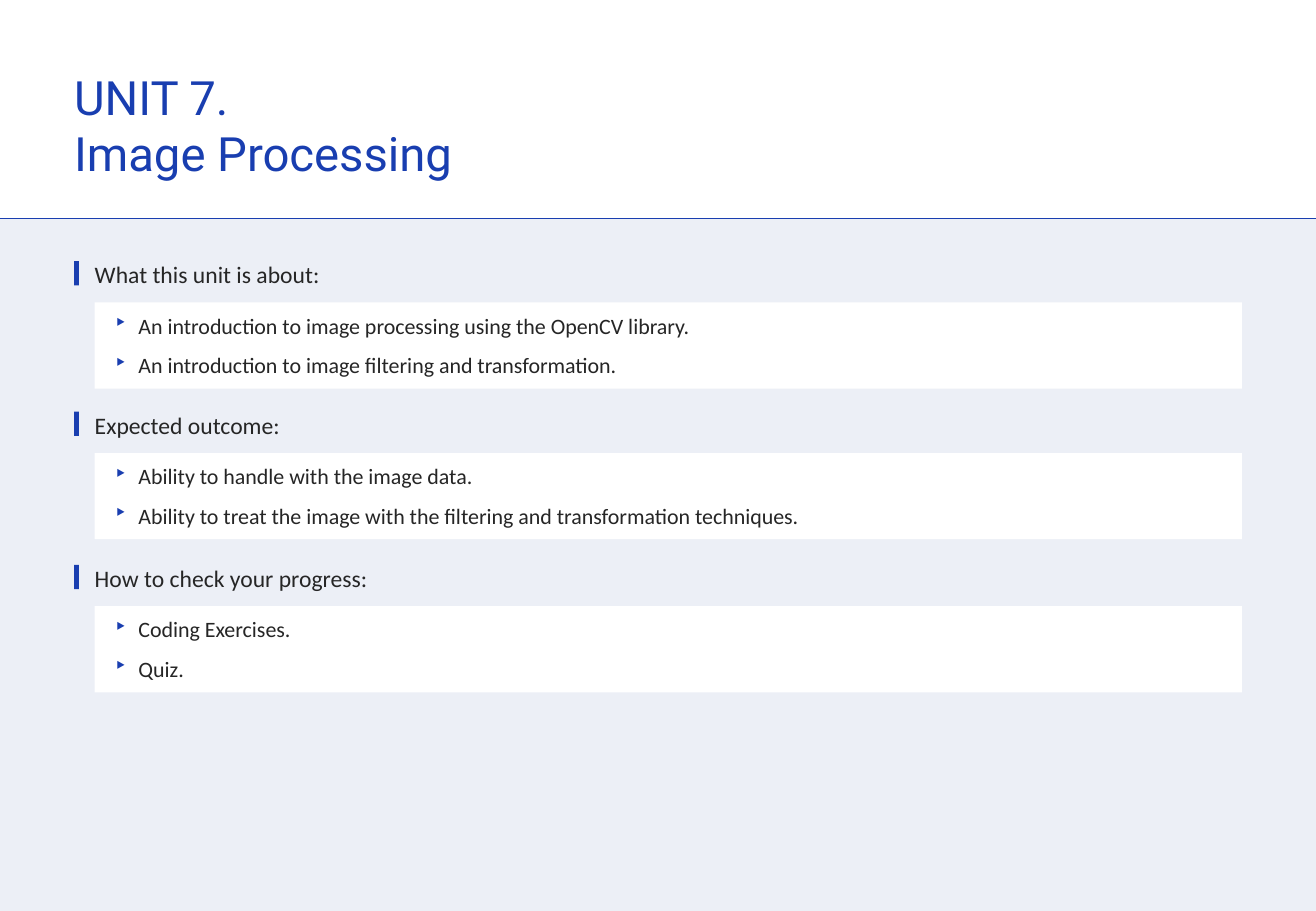
from lxml import etree
from pptx import Presentation
from pptx.dml.color import RGBColor
from pptx.enum.shapes import MSO_CONNECTOR, MSO_SHAPE
from pptx.enum.text import MSO_ANCHOR, PP_ALIGN
from pptx.oxml.ns import qn
from pptx.util import Inches, Pt

RECTANGLE = MSO_SHAPE.RECTANGLE
STRAIGHT = MSO_CONNECTOR.STRAIGHT
TOP = MSO_ANCHOR.TOP
LEFT = PP_ALIGN.LEFT

COLORS = {"blue": "193EB0", "pale": "ECEFF6", "white": "FFFFFF", "text": "262626"}
WIDTH, HEIGHT = 10.83, 7.5
HEADER_BOTTOM = 1.8
MARGIN, INDENT, CONTENT_WIDTH = 0.61, 0.78, 9.44

SECTIONS = [
    (2.14, "What this unit is about:",
     ["An introduction to image processing using the OpenCV library.",
      "An introduction to image filtering and transformation."]),
    (3.38, "Expected outcome:",
     ["Ability to handle with the image data.",
      "Ability to treat the image with the filtering and transformation techniques."]),
    (4.64, "How to check your progress:",
     ["Coding Exercises.", "Quiz."]),
]

deck = Presentation()
deck.slide_width, deck.slide_height = Inches(WIDTH), Inches(HEIGHT)
page = deck.slides.add_slide(deck.slide_layouts[6])


def add_block(left, top, width, height, color):
    block = page.shapes.add_shape(
        RECTANGLE, Inches(left), Inches(top), Inches(width), Inches(height))
    block.shadow.inherit = False
    block.fill.solid()
    block.fill.fore_color.rgb = RGBColor.from_string(COLORS[color])
    block.line.fill.background()
    return block


def write_lines(box, lines, font, size, color, space_after=0, inset=(0, 0)):
    frame = box.text_frame
    frame.word_wrap = True
    frame.vertical_anchor = TOP
    frame.margin_left = frame.margin_right = Inches(inset[0])
    frame.margin_top = frame.margin_bottom = Inches(inset[1])
    frame.text = "\n".join(lines)
    for paragraph in frame.paragraphs:
        paragraph.alignment = LEFT
        paragraph.space_after = Pt(space_after)
        for span in paragraph.runs:
            span.font.name = font
            span.font.size = Pt(size)
            span.font.color.rgb = RGBColor.from_string(COLORS[color])
    return frame.paragraphs


# Body background and header rule
add_block(0, HEADER_BOTTOM, WIDTH, HEIGHT - HEADER_BOTTOM, "pale")
rule = page.shapes.add_connector(
    STRAIGHT, Inches(0), Inches(HEADER_BOTTOM), Inches(WIDTH), Inches(HEADER_BOTTOM))
rule.line.color.rgb = RGBColor.from_string(COLORS["blue"])
rule.line.width = Pt(0.5)
etree.SubElement(rule._element.spPr, qn("a:effectLst"))

# Title
title = page.shapes.add_textbox(Inches(MARGIN), Inches(0.56), Inches(9.61), Inches(0.94))
write_lines(title, ["UNIT 7.", "Image Processing"], "Roboto", 28, "blue")

# Sections: accent bar, heading and bulleted panel
for top, heading, items in SECTIONS:
    add_block(MARGIN, top + 0.01, 0.04, 0.2, "blue")
    label = page.shapes.add_textbox(
        Inches(INDENT), Inches(top), Inches(CONTENT_WIDTH), Inches(0.24))
    write_lines(label, [heading], "Calibri", 14, "text", space_after=6)

    panel = add_block(INDENT, top + 0.35, CONTENT_WIDTH, 0.71, "white")
    for paragraph in write_lines(panel, items, "Calibri", 13, "text", 8, (0.16, 0.08)):
        properties = paragraph._p.get_or_add_pPr()
        properties.set("marL", str(Inches(0.2)))
        properties.set("indent", str(Inches(-0.2)))
        bullet_color = etree.SubElement(properties, qn("a:buClr"))
        etree.SubElement(bullet_color, qn("a:srgbClr"), val=COLORS["blue"])
        etree.SubElement(properties, qn("a:buChar"), char="‣")

deck.save("out.pptx")
